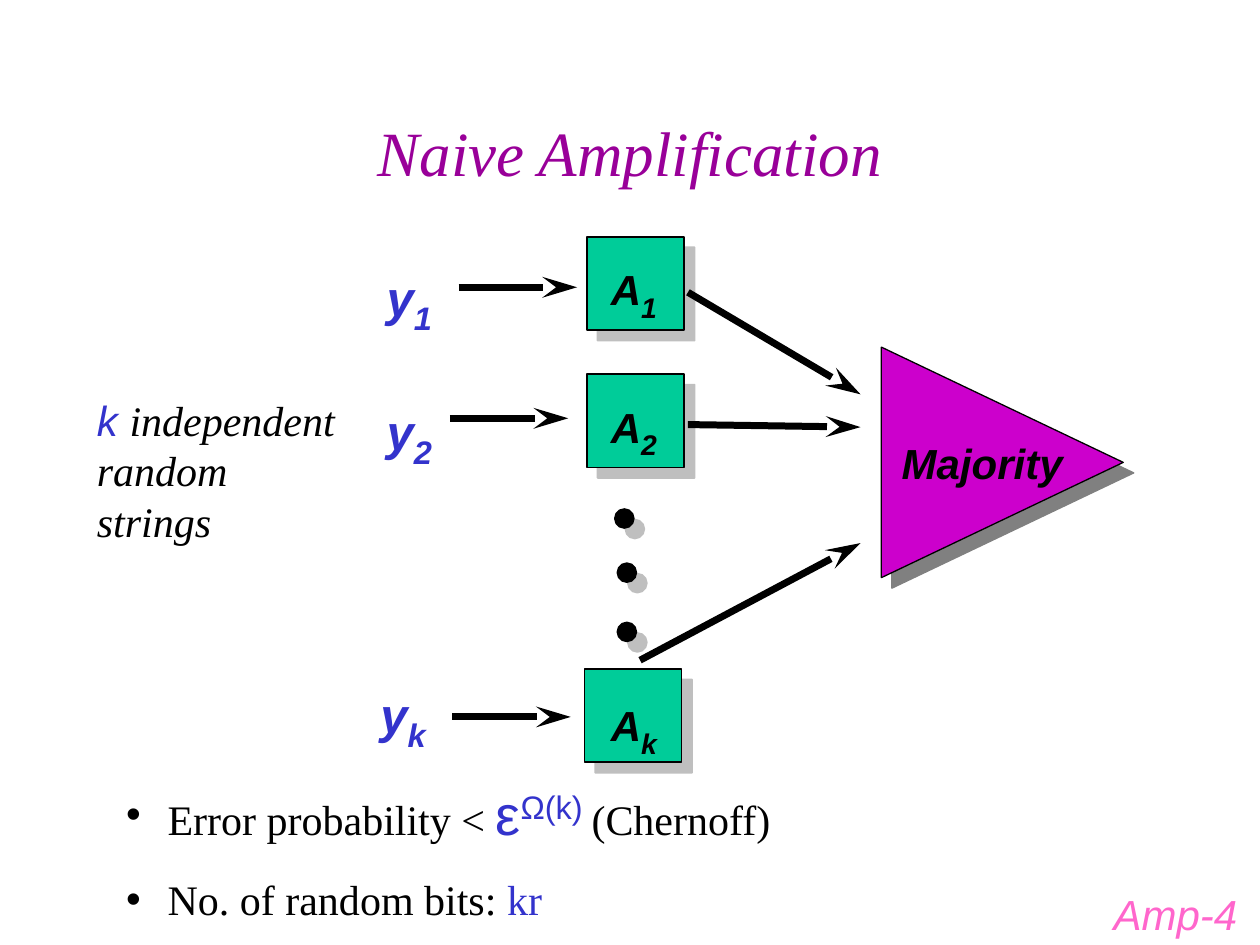
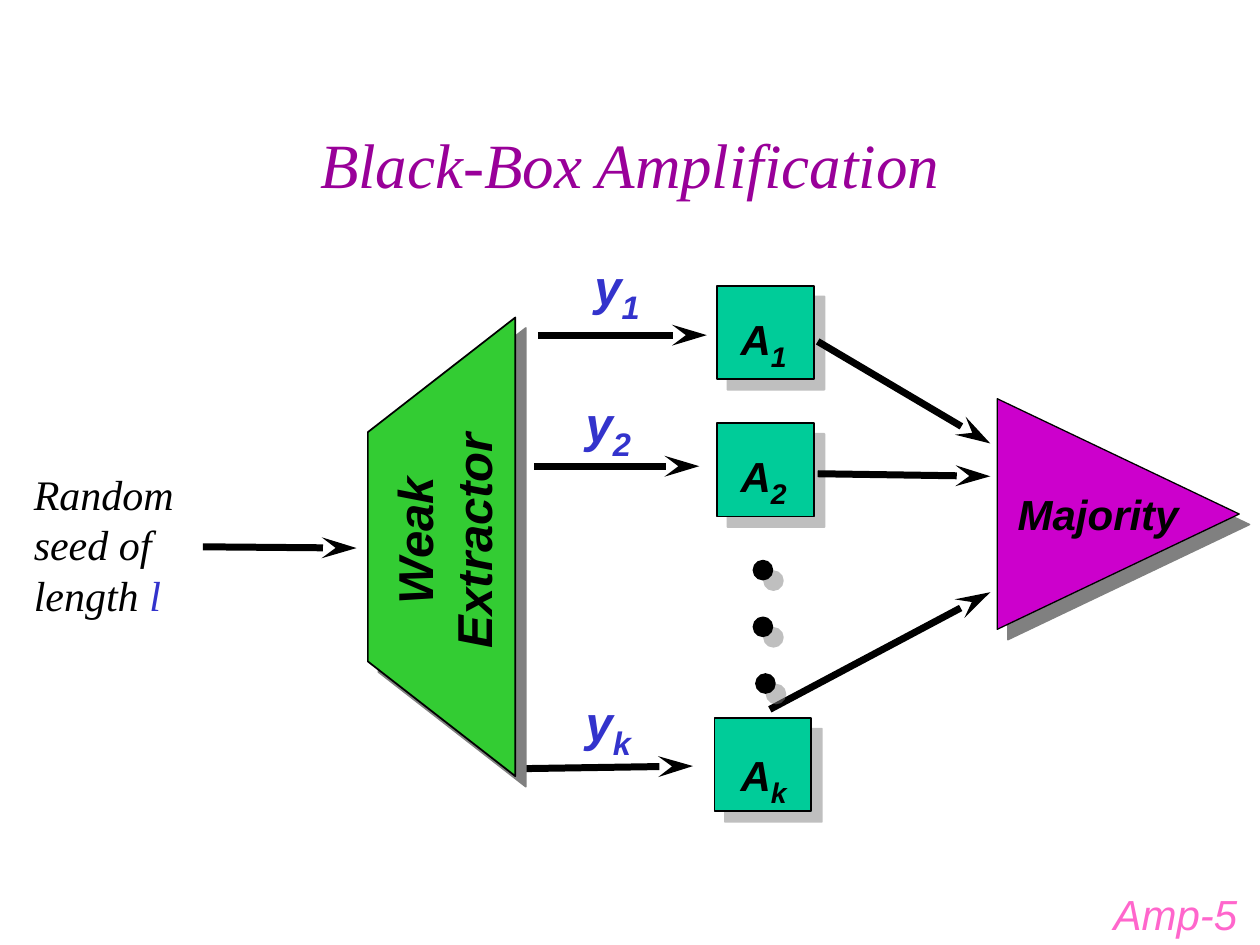
from dataclasses import dataclass, replace

from lxml import etree
from pptx import Presentation
from pptx.dml.color import RGBColor
from pptx.enum.shapes import MSO_CONNECTOR, MSO_SHAPE
from pptx.enum.text import MSO_ANCHOR, MSO_AUTO_SIZE, PP_ALIGN
from pptx.oxml.ns import qn
from pptx.util import Inches, Pt

STRAIGHT = MSO_CONNECTOR.STRAIGHT
RECTANGLE, OVAL = MSO_SHAPE.RECTANGLE, MSO_SHAPE.OVAL
TRIANGLE = MSO_SHAPE.ISOSCELES_TRIANGLE
LEFT, CENTER = PP_ALIGN.LEFT, PP_ALIGN.CENTER
TOP, MIDDLE = MSO_ANCHOR.TOP, MSO_ANCHOR.MIDDLE
NO_AUTOFIT = MSO_AUTO_SIZE.NONE

BLACK = RGBColor(0x00, 0x00, 0x00)
PURPLE = RGBColor(0x99, 0x00, 0x99)
MAGENTA = RGBColor(0xCC, 0x00, 0xCC)
TEAL = RGBColor(0x00, 0xCC, 0x99)
GREEN = RGBColor(0x33, 0xCC, 0x33)
BLUE = RGBColor(0x33, 0x33, 0xCC)
PINK = RGBColor(0xFF, 0x66, 0xCC)

SANS, SERIF = "Arial", "Times New Roman"
TITLE_ONLY, TITLE_AND_BODY = 5, 1
SUBSCRIPTS = ("1", "2", "k")


@dataclass(frozen=True)
class Look:
    """Character formatting of a run."""
    size: int = 24
    color: RGBColor = BLACK
    font: str = SERIF
    bold: bool = False
    italic: bool = True
    baseline: int = 0


TITLE = Look(36, PURPLE)
NOTE = Look()
NOTE_VARIABLE = Look(color=BLUE)
PLAIN = Look(italic=False)
PLAIN_VARIABLE = replace(PLAIN, color=BLUE)
EPSILON = Look(32, BLUE, SANS, italic=False)
EXPONENT = replace(EPSILON, baseline=30)
STRONG = Look(font=SANS, bold=True)
ALGORITHM_INDEX = replace(STRONG, size=28, baseline=-25)
EXTRACTOR = replace(STRONG, size=28)
STRING = replace(EXTRACTOR, color=BLUE)
STRING_INDEX = replace(STRING, size=32, baseline=-25)
FOOTER = Look(color=PINK, font=SANS)


class Deck:
    """Presentation style together with the slide being drawn."""

    def __init__(self):
        self.presentation = Presentation()
        self.presentation.slide_width = Inches(10)
        self.presentation.slide_height = Inches(7.5)
        self.slide = None

    def start_slide(self, layout, title, title_top, number):
        self.slide = self.presentation.slides.add_slide(
            self.presentation.slide_layouts[layout])
        shape = self.slide.shapes.title
        self.place(shape, 0.75, title_top, 8.5, 1.25)
        self.fill_text(shape, [[(title, TITLE)]], CENTER, MIDDLE)
        self.text(8.74, 7, 1.26, 0.5, [(f"Amp-{number}", FOOTER)])

    def place(self, shape, left, top, width, height):
        shape.left, shape.top = Inches(left), Inches(top)
        shape.width, shape.height = Inches(width), Inches(height)

    def fill_text(self, shape, paragraphs, align=LEFT, anchor=TOP, bulleted=False):
        frame = shape.text_frame
        frame.word_wrap = True
        frame.auto_size = NO_AUTOFIT
        frame.vertical_anchor = anchor
        for index, runs in enumerate(paragraphs):
            paragraph = frame.add_paragraph() if index else frame.paragraphs[0]
            if bulleted:
                self.bullet(paragraph)
            paragraph.alignment = align
            paragraph.space_before = Pt(15 if index else 0)
            for words, look in runs:
                self.run(paragraph, words, look)

    def run(self, paragraph, words, look):
        run = paragraph.add_run()
        run.text = words
        run.font.size = Pt(look.size)
        run.font.name = look.font
        run.font.bold = look.bold
        run.font.italic = look.italic
        run.font.color.rgb = look.color
        if look.baseline:
            run._r.get_or_add_rPr().set("baseline", str(look.baseline * 1000))

    def bullet(self, paragraph):
        properties = paragraph._p.get_or_add_pPr()
        properties.set("marL", str(Inches(0.33)))
        properties.set("indent", str(-Inches(0.33)))
        etree.SubElement(properties, qn("a:buFont"), typeface=SANS)
        etree.SubElement(properties, qn("a:buChar"), char="•")

    def body(self, left, top, width, height, paragraphs):
        shape = self.slide.placeholders[1]
        self.place(shape, left, top, width, height)
        self.fill_text(shape, paragraphs, bulleted=True)

    def text(self, left, top, width, height, runs, align=LEFT, rotation=0):
        shape = self.slide.shapes.add_textbox(
            Inches(left), Inches(top), Inches(width), Inches(height))
        shape.rotation = rotation
        self.fill_text(shape, [runs], align)

    def shape(self, kind, left, top, width, height, color, opacity=50, line=1, rotation=0):
        shape = self.slide.shapes.add_shape(
            kind, Inches(left), Inches(top), Inches(width), Inches(height))
        shape.rotation = rotation
        self.paint(shape, color, opacity, line)

    def outline(self, points, color):
        corners = [(Inches(x), Inches(y)) for x, y in points]
        builder = self.slide.shapes.build_freeform(*corners[0])
        builder.add_line_segments(corners[1:])
        self.paint(builder.convert_to_shape(), color, 100, 1)

    def paint(self, shape, color, opacity, line):
        shape.fill.solid()
        shape.fill.fore_color.rgb = color
        shape.line.color.rgb = BLACK
        shape.line.width = Pt(line)
        shape.shadow.inherit = False
        effects = shape._element.spPr.find(qn("a:effectLst"))
        shadow = etree.SubElement(
            effects, qn("a:outerShdw"), dist=str(Pt(8.5)), dir="2700000",
            algn="ctr", rotWithShape="0")
        gray = etree.SubElement(shadow, qn("a:srgbClr"), val="808080")
        etree.SubElement(gray, qn("a:alpha"), val=str(opacity * 1000))

    def arrow(self, x1, y1, x2, y2):
        connector = self.slide.shapes.add_connector(
            STRAIGHT, Inches(x1), Inches(y1), Inches(x2), Inches(y2))
        connector.line.color.rgb = BLACK
        connector.line.width = Pt(4)
        etree.SubElement(connector.line._get_or_add_ln(), qn("a:tailEnd"),
                         type="stealth", w="med", len="lg")
        etree.SubElement(connector._element.spPr, qn("a:effectLst"))

    def majority(self, left, top):
        self.shape(TRIANGLE, left, top, 1.83, 1.92, MAGENTA, 100, 0.75, 90)
        self.text(left - 0.04, top + 0.71, 1.59, 0.5, [("Majority", STRONG)], CENTER)

    def algorithms(self, left, top):
        boxes = ((0.02, 0, 0.11), (0.02, 1.09, 0.11), (0, 3.43, 0.14))
        for index, (dx, dy, label_drop) in zip(SUBSCRIPTS, boxes):
            self.shape(RECTANGLE, left + dx, top + dy, 0.77, 0.74, TEAL)
            self.text(left + 0.11, top + dy + label_drop, 0.71, 0.63,
                      [("A", STRONG), (index, ALGORITHM_INDEX)])
        for x, start, end in ((0.82, 0.44, 1.25), (0.82, 1.49, 1.51), (0.44, 3.36, 2.43)):
            self.arrow(left + x, top + start, left + 2.19, top + end)

    def strings(self, positions, arrows):
        for index, (left, top) in zip(SUBSCRIPTS, positions):
            self.text(left, top, 0.66, 0.71, [("y", STRING), (index, STRING_INDEX)])
        for ends in arrows:
            self.arrow(*ends)

    def dots(self, positions):
        for left, top in positions:
            self.shape(OVAL, left, top, 0.15, 0.15, BLACK)


def naive_amplification(deck):
    """Draw the slide with k independent strings."""
    deck.start_slide(TITLE_AND_BODY, "Naive Amplification", 0.58, 4)
    deck.majority(7.04, 2.71)
    deck.algorithms(4.64, 1.88)
    deck.strings(
        ((2.97, 2.02), (2.97, 3.08), (2.92, 5.33)),
        [(x, y, x + 0.94, y) for x, y in ((3.64, 2.28), (3.57, 3.32), (3.59, 5.69))])
    deck.text(0.67, 3.08, 2.22, 1.3, [
        ("k ", replace(NOTE_VARIABLE, font=SANS)), ("independent random strings", NOTE)])
    deck.body(0.9, 6.14, 6.02, 1.24, [
        [("Error probability < ", PLAIN), ("ε", EPSILON), ("Ω(k) ", EXPONENT),
         ("(Chernoff)", PLAIN)],
        [("No. of random bits: ", PLAIN), ("kr", PLAIN_VARIABLE)]])
    deck.dots(((4.88, 4.04), (4.9, 4.47), (4.9, 4.94)))


def black_box_amplification(deck):
    """Draw the slide with the weak extractor."""
    deck.start_slide(TITLE_ONLY, "Black-Box Amplification", 0.67, 5)
    deck.algorithms(5.67, 2.27)
    deck.strings(
        ((4.62, 1.93), (4.55, 3.02), (4.55, 5.39)),
        ((4.27, 2.66, 5.61, 2.66), (4.24, 3.7, 5.55, 3.7), (4.17, 6.1, 5.5, 6.08)))
    deck.outline(((4.09, 2.52), (4.09, 6.16), (2.92, 5.25), (2.92, 3.43)), GREEN)
    deck.text(0.17, 3.67, 1.56, 1.3, [
        ("Random seed of length ", NOTE), ("l", NOTE_VARIABLE)])
    deck.text(2.31, 3.77, 2.42, 1.04, [("Weak Extractor", EXTRACTOR)], CENTER, 270)
    deck.arrow(1.61, 4.34, 2.83, 4.35)
    deck.dots(((5.98, 4.45), (5.98, 4.9), (6, 5.35)))
    deck.majority(7.96, 3.12)


def main():
    """Build both slides and save them."""
    deck = Deck()
    naive_amplification(deck)
    black_box_amplification(deck)
    deck.presentation.save("out.pptx")


if __name__ == "__main__":
    main()
